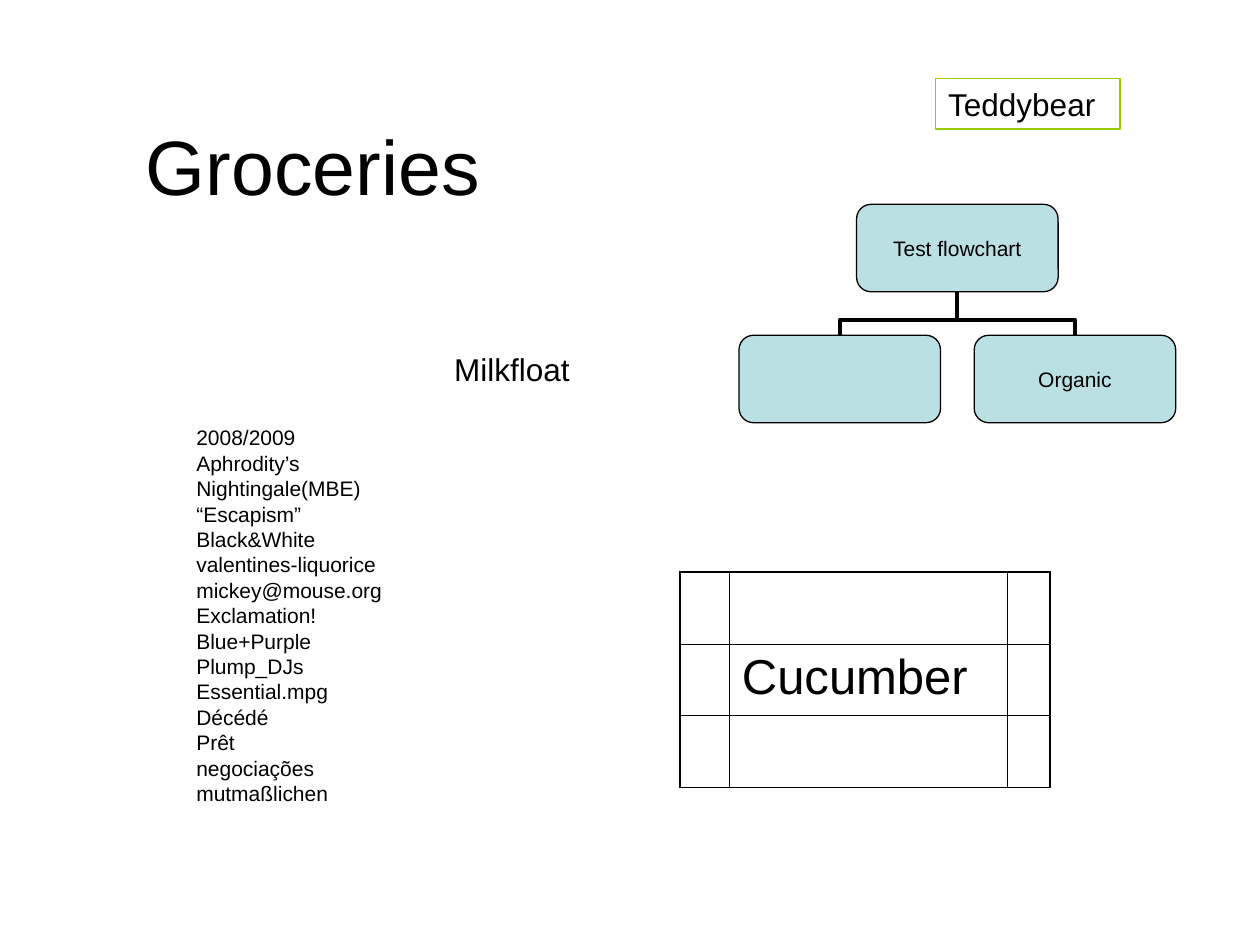
from lxml.etree import SubElement
from pptx import Presentation
from pptx.dml.color import RGBColor
from pptx.enum.shapes import MSO_CONNECTOR, MSO_SHAPE
from pptx.enum.text import MSO_ANCHOR, MSO_AUTO_SIZE, PP_ALIGN
from pptx.oxml.ns import qn
from pptx.util import Pt

LIST_ITEMS = [
    "2008/2009", "Aphrodity’s", "Nightingale(MBE)", "“Escapism”", "Black&White",
    "valentines-liquorice", "mickey@mouse.org", "Exclamation!", "Blue+Purple",
    "Plump_DJs", "Essential.mpg", "Décédé", "Prêt", "negociações", "mutmaßlichen",
]


def color(value):
    return RGBColor.from_string(value)


class PageBuilder:
    font = "Arial"
    ink = "000000"
    node_fill = "BBE0E3"
    accent = "99CC00"
    node_width, node_height = 115.2, 50

    def __init__(self, deck):
        self.page = deck.slides.add_slide(deck.slide_layouts[0])

    def fill_text(self, frame, lines, size, align=PP_ALIGN.LEFT, anchor=MSO_ANCHOR.TOP,
                  wrap=True, inset=(7.2, 3.6), spacing=1.0, before=0):
        frame.auto_size = MSO_AUTO_SIZE.NONE
        frame.word_wrap = wrap
        frame.vertical_anchor = anchor
        frame.margin_left = frame.margin_right = Pt(inset[0])
        frame.margin_top = frame.margin_bottom = Pt(inset[1])
        for index, line in enumerate(lines):
            para = frame.add_paragraph() if index else frame.paragraphs[0]
            para.alignment = align
            para.line_spacing = spacing
            para.space_before = Pt(before)
            self.add_span(para, line, size)

    def add_span(self, para, text, size):
        span = para.add_run()
        span.text = text
        span.font.name = self.font
        span.font.size = Pt(size)
        span.font.color.rgb = color(self.ink)

    def placeholder(self, index, left, top, width, height, lines, size, **style):
        box = self.page.placeholders[index]
        box.left, box.top, box.width, box.height = map(Pt, (left, top, width, height))
        self.fill_text(box.text_frame, lines, size, **style)

    def label(self, left, top, width, height, text, outline=None):
        box = self.page.shapes.add_textbox(*map(Pt, (left, top, width, height)))
        self.fill_text(box.text_frame, [text], 18, wrap=False)
        if outline:
            box.line.color.rgb = color(outline)
            box.line.width = Pt(0.75)

    def node(self, left, top, text=None):
        box = self.page.shapes.add_shape(
            MSO_SHAPE.ROUNDED_RECTANGLE,
            *map(Pt, (left, top, self.node_width, self.node_height)))
        box.shadow.inherit = False
        box.fill.solid()
        box.fill.fore_color.rgb = color(self.node_fill)
        box.line.color.rgb = color(self.ink)
        box.line.width = Pt(0.75)
        if text:
            self.fill_text(box.text_frame, [text], 12, PP_ALIGN.CENTER,
                           MSO_ANCHOR.MIDDLE, wrap=False, inset=(0, 0))

    def branch(self, child, parent):
        """Join a child's top to its parent's bottom with a quarter-turned elbow."""
        (child_x, child_y), (parent_x, parent_y) = child, parent
        middle_x, middle_y = (child_x + parent_x) / 2, (child_y + parent_y) / 2
        half_rise, half_run = (child_y - parent_y) / 2, (child_x - parent_x) / 2
        line = self.page.shapes.add_connector(
            MSO_CONNECTOR.ELBOW,
            Pt(middle_x - half_rise), Pt(middle_y + half_run),
            Pt(middle_x + half_rise), Pt(middle_y - half_run))
        line.line.color.rgb = color(self.ink)
        line.line.width = Pt(2.25)
        properties = line._element.spPr
        properties.find(qn("a:xfrm")).set("rot", str(270 * 60000))
        geometry = properties.find(qn("a:prstGeom"))
        guides = geometry.find(qn("a:avLst"))
        if guides is None:
            guides = SubElement(geometry, qn("a:avLst"))
        SubElement(guides, qn("a:gd"), name="adj1", fmla="val 36000")
        SubElement(properties, qn("a:effectLst"))

    def flowchart(self, root_left, root_top, child_top, offset, root, children):
        half = self.node_width / 2
        parent = (root_left + half, root_top + self.node_height)
        lefts = [root_left - offset, root_left + offset]
        for left in reversed(lefts):
            self.branch((left + half, child_top), parent)
        self.node(root_left, root_top, root)
        for left, text in zip(lefts, children):
            self.node(left, child_top, text)

    def border(self, cell, side, width):
        edge = SubElement(cell._tc.get_or_add_tcPr(), qn(f"a:ln{side}"),
                          w=str(Pt(width)))
        fill = SubElement(edge, qn("a:solidFill"))
        SubElement(fill, qn("a:srgbClr"), val=self.ink)

    def table(self, left, top, widths, row_height, rows):
        """Draw a grid with a heavier outer frame."""
        last_row, last_column = len(rows) - 1, len(widths) - 1
        grid = self.page.shapes.add_table(
            len(rows), len(widths), Pt(left), Pt(top),
            Pt(sum(widths)), Pt(row_height * len(rows))).table
        grid.first_row = grid.horz_banding = False
        for column, width in zip(grid.columns, widths):
            column.width = Pt(width)
        for r, row in enumerate(rows):
            grid.rows[r].height = Pt(row_height)
            for c, text in enumerate(row):
                cell = grid.cell(r, c)
                outer = {"L": c == 0, "R": c == last_column,
                         "T": r == 0, "B": r == last_row}
                for side, heavy in outer.items():
                    self.border(cell, side, 1.08 if heavy else 0.45)
                cell.fill.background()
                if text:
                    self.add_span(cell.text_frame.paragraphs[0], text, 28)


def main():
    deck = Presentation()
    deck.slide_width, deck.slide_height = Pt(720), Pt(540)
    builder = PageBuilder(deck)
    builder.placeholder(0, 60, 54.7, 250, 79.2, ["Groceries "], 44,
                        align=PP_ALIGN.CENTER, anchor=MSO_ANCHOR.MIDDLE)
    builder.placeholder(1, 105, 242, 283.7, 226.8, LIST_ITEMS, 12,
                        spacing=0.8, before=3)
    builder.label(534.75, 44.75, 105.25, 29, "Teddybear", builder.accent)
    builder.label(252.5, 196.5, 80, 29, "Milkfloat")
    builder.flowchart(489.5, 116.75, 191.6, 67.2, "Test flowchart", [None, "Organic"])
    builder.table(388.4, 327, [28.4, 158.8, 24.4], 41,
                  [[None] * 3, [None, "Cucumber", None], [None] * 3])
    deck.save("out.pptx")


if __name__ == "__main__":
    main()
